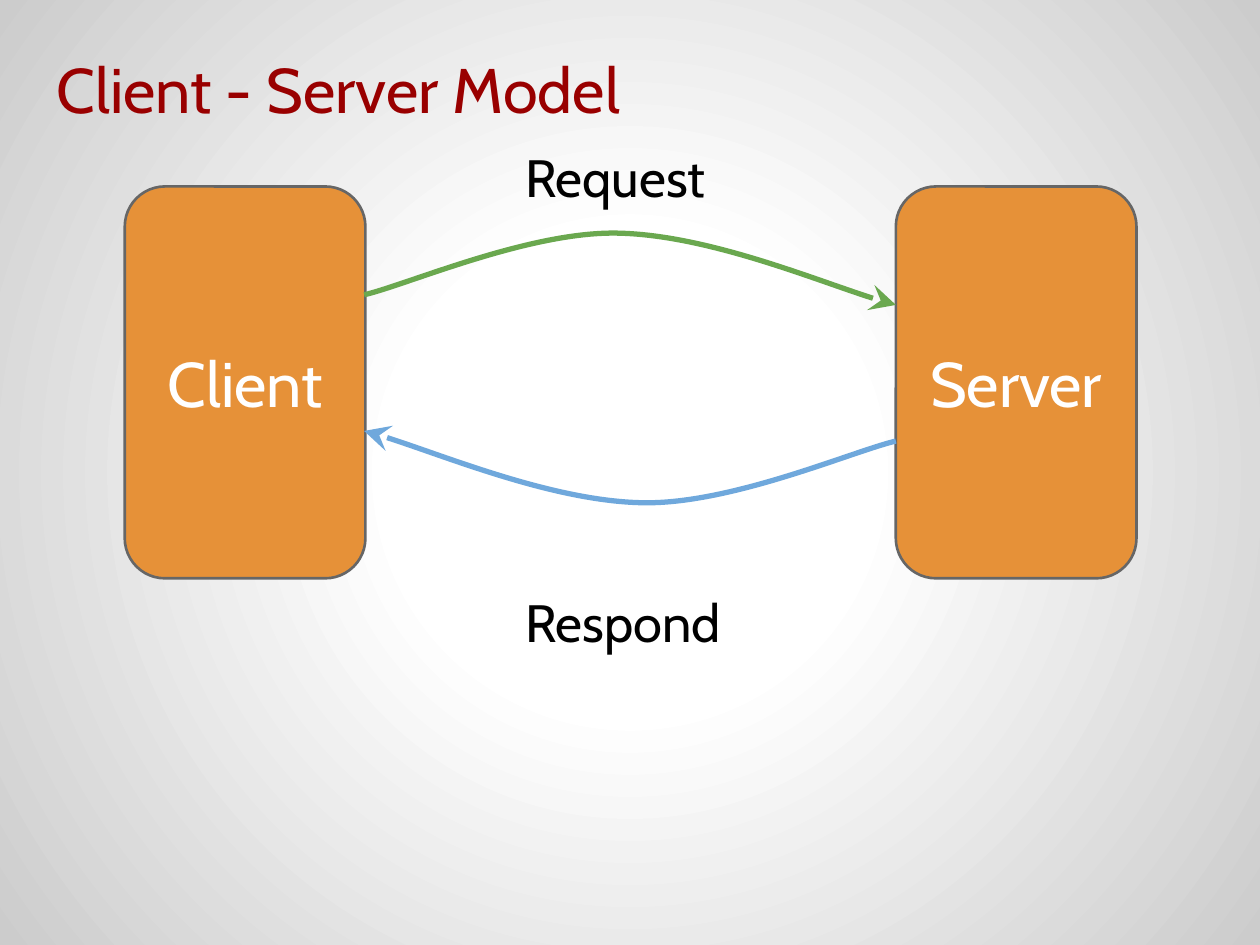
"""Build a slide showing the client - server model."""
from lxml import etree
from pptx import Presentation
from pptx.dml.color import RGBColor
from pptx.enum.shapes import MSO_SHAPE
from pptx.enum.text import MSO_ANCHOR, MSO_AUTO_SIZE, PP_ALIGN
from pptx.oxml import parse_xml
from pptx.oxml.ns import nsdecls, qn
from pptx.util import Inches, Pt

ROUND = MSO_SHAPE.ROUNDED_RECTANGLE
TOP, MIDDLE = MSO_ANCHOR.TOP, MSO_ANCHOR.MIDDLE
LEFT, CENTER = PP_ALIGN.LEFT, PP_ALIGN.CENTER
FIXED = MSO_AUTO_SIZE.NONE
FONT = "Cabin"
COLORS = {
    "title": "990000", "box": "E69138", "edge": "666666", "name": "FFFFFF",
    "label": "000000", "request": "6AA84F", "respond": "6FA8DC",
    "center": "FFFFFF", "rim": "CCCCCC",
}


def color(key):
    return RGBColor.from_string(COLORS[key])


def write(shape, text, size, key, align, anchor):
    frame = shape.text_frame
    frame.word_wrap = True
    frame.auto_size = FIXED
    frame.vertical_anchor = anchor
    frame.margin_left = frame.margin_right = Inches(0.1)
    frame.margin_top = frame.margin_bottom = Inches(0.1)
    para = frame.paragraphs[0]
    para.alignment = align
    run = para.add_run()
    run.text = text
    run.font.name = FONT
    run.font.size = Pt(size)
    run.font.color.rgb = color(key)


prs = Presentation()
prs.slide_width, prs.slide_height = Inches(10), Inches(7.5)
slide = prs.slides.add_slide(prs.slide_layouts[5])
shapes = slide.shapes

stops = "".join(
    f'<a:gs pos="{pos}"><a:srgbClr val="{COLORS[key]}"/></a:gs>'
    for pos, key in ((0, "center"), (30000, "center"), (100000, "rim")))
back = parse_xml(
    f'<p:bg {nsdecls("p", "a")}><p:bgPr><a:gradFill><a:gsLst>{stops}</a:gsLst>'
    '<a:path path="circle"><a:fillToRect l="50000" t="50000" r="50000" b="50000"/>'
    '</a:path></a:gradFill><a:effectLst/></p:bgPr></p:bg>')
slide.element.cSld.insert(0, back)

for text, left in (("Client", 0.99), ("Server", 7.11)):
    box = shapes.add_shape(ROUND, Inches(left), Inches(1.48), Inches(1.91), Inches(3.11))
    box.shadow.inherit = False
    box.fill.solid()
    box.fill.fore_color.rgb = color("box")
    box.line.color.rgb = color("edge")
    box.line.width = Pt(1.5)
    write(box, text, 36, "name", CENTER, MIDDLE)

start = (2.89, 2.33)
bends = [(3.23, 2.25), (4.19, 1.83), (4.89, 1.84),
         (5.6, 1.85), (6.74, 2.32), (7.11, 2.41)]
for key, top, turn in (("request", 1.84, 0), ("respond", 3.42, 180)):
    pen = shapes.build_freeform(Inches(start[0]), Inches(start[1]))
    pen.add_line_segments([(Inches(x), Inches(y)) for x, y in bends], close=False)
    curve = pen.convert_to_shape()
    curve.top = Inches(top)
    curve.rotation = turn
    curve.shadow.inherit = False
    curve.fill.background()
    curve.line.color.rgb = color(key)
    curve.line.width = Pt(3)
    etree.SubElement(curve.line._get_or_add_ln(), qn("a:tailEnd"),
                     type="stealth", w="lg", len="lg")
    route = curve.element.xpath(".//a:path")[0]
    for i, step in enumerate(route.findall(qn("a:lnTo"))):
        if i % 3 == 0:
            cubic = etree.SubElement(route, qn("a:cubicBezTo"))
        cubic.append(step[0])
        route.remove(step)

for text, top, high in (("Request", 1.05, 0.73), ("Respond", 4.58, 0.5)):
    label = shapes.add_textbox(Inches(4.07), Inches(top), Inches(4), Inches(high))
    write(label, text, 30, "label", LEFT, TOP)

title = shapes.title
title.left, title.top = Inches(-0.43), Inches(0.3)
title.width, title.height = Inches(6.23), Inches(1.57)
write(title, "Client - Server Model", 36, "title", CENTER, TOP)

prs.save("out.pptx")
